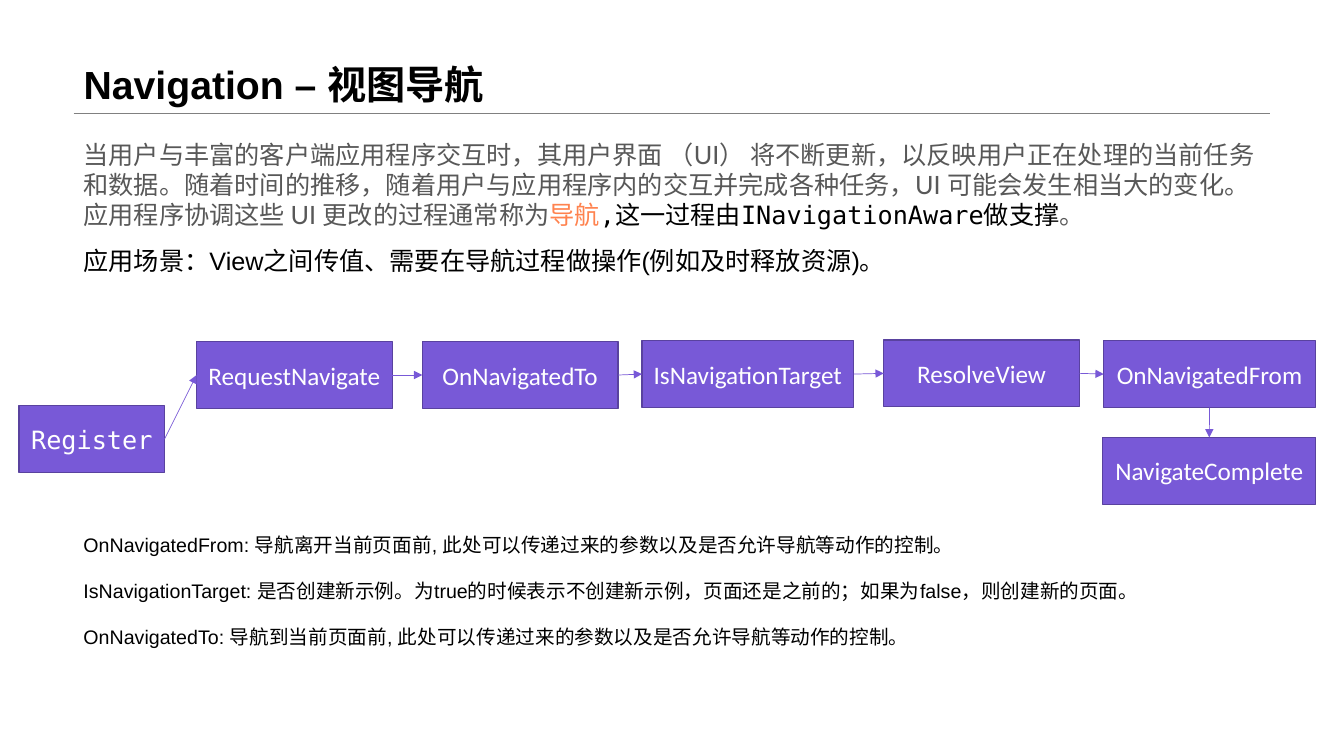
"""Build the view navigation slide with its navigation flow."""
import pptx
import pptx.util
import pptx.dml.color
import pptx.enum.shapes
import pptx.enum.text
import pptx.oxml.ns
import lxml.etree

Pt = pptx.util.Pt
ANCHOR = pptx.enum.text.MSO_ANCHOR
ALIGN = pptx.enum.text.PP_ALIGN

LEFT, CONTENT_WIDTH, RULE_TOP = 52.56, 854.64, 80.64
BOX_HEIGHT = 47.8
PURPLE, DARK_PURPLE, GREY, BLACK = "7859D7", "59429F", "585858", "000000"

TITLE = "Navigation – 视图导航"
INTRODUCTION = [[
    ("当用户与丰富的客户端应用程序交互时，其用户界面 （UI） 将不断更新，以反映用户正在处理的当前任务和数据。"
     "随着时间的推移，随着用户与应用程序内的交互并完成各种任务，UI 可能会发生相当大的变化。"
     "应用程序协调这些 UI 更改的过程通常称为", "Lato", GREY),
    ("导航", "Lato", "FF834F"),
    (",这一过程由INavigationAware做支撑", "DejaVu Sans Mono", BLACK),
    ("。", "Lato", GREY),
]]
SCENARIO = [[("应用场景：View之间传值、需要在导航过程做操作(例如及时释放资源)。", "Arial", BLACK)]]
NOTES = [[(text, "Arial", BLACK)] for text in (
    "OnNavigatedFrom: 导航离开当前页面前, 此处可以传递过来的参数以及是否允许导航等动作的控制。",
    "IsNavigationTarget: 是否创建新示例。为true的时候表示不创建新示例，页面还是之前的；如果为false，则创建新的页面。",
    "OnNavigatedTo: 导航到当前页面前, 此处可以传递过来的参数以及是否允许导航等动作的控制。",
)]
TEXT_BLOCKS = [
    (INTRODUCTION, 95.76, CONTENT_WIDTH, 72.7, 18, 0),
    (SCENARIO, 171.36, 592.56, 29.1, 18, 0),
    (NOTES, 377.28, 767.52, 92.2, 14, 16),
]
STEPS = [
    ("Register", 13.68, 289.8, 103.8, "DejaVu Sans Mono"),
    ("RequestNavigate", 140.4, 244, 139.8, "Calibri"),
    ("OnNavigatedTo", 301.68, 244, 139.8, "Calibri"),
    ("IsNavigationTarget", 458.64, 243.3, 151.2, "Calibri"),
    ("ResolveView", 631.3, 242.8, 139.8, "Calibri"),
    ("OnNavigatedFrom", 788.4, 243.3, 151.2, "Calibri"),
    ("NavigateComplete", 787.7, 312.5, 152.2, "Calibri"),
]


def color(value):
    return pptx.dml.color.RGBColor.from_string(value)


def apply(target, values):
    for name, value in values.items():
        setattr(target, name, value)


def add_run(paragraph, text, font, hex_color, size, bold=False):
    run = paragraph.add_run()
    run.text = text
    apply(run.font, {"name": font, "size": Pt(size), "bold": bold})
    run.font.color.rgb = color(hex_color)


def add_title(slide):
    title = slide.shapes.title
    apply(title, {"left": Pt(LEFT), "top": Pt(0),
                  "width": Pt(CONTENT_WIDTH), "height": Pt(RULE_TOP)})
    apply(title.text_frame, {"vertical_anchor": ANCHOR.BOTTOM, "word_wrap": True,
                             "auto_size": pptx.enum.text.MSO_AUTO_SIZE.NONE})
    paragraph = title.text_frame.paragraphs[0]
    apply(paragraph, {"alignment": ALIGN.LEFT, "line_spacing": 0.9})
    add_run(paragraph, TITLE, "Arial", BLACK, 28, True)


def add_text(slide, paragraphs, top, width, height, size, gap):
    frame = slide.shapes.add_textbox(Pt(LEFT), Pt(top), Pt(width), Pt(height)).text_frame
    frame.word_wrap = True
    for index, runs in enumerate(paragraphs):
        paragraph = frame.add_paragraph() if index else frame.paragraphs[0]
        paragraph.space_after = Pt(gap)
        for text, font, hex_color in runs:
            add_run(paragraph, text, font, hex_color, size)


def add_step(slide, text, left, top, width, font):
    box = slide.shapes.add_shape(pptx.enum.shapes.MSO_SHAPE.RECTANGLE,
                                 Pt(left), Pt(top), Pt(width), Pt(BOX_HEIGHT))
    box.shadow.inherit = False
    box.fill.solid()
    box.fill.fore_color.rgb = color(PURPLE)
    box.line.color.rgb = color(DARK_PURPLE)
    box.line.width = Pt(1)
    box.text_frame.vertical_anchor = ANCHOR.MIDDLE
    paragraph = box.text_frame.paragraphs[0]
    paragraph.alignment = ALIGN.CENTER
    add_run(paragraph, text, font, "FFFFFF", 18)
    return box


def add_line(slide, points, hex_color, width):
    line = slide.shapes.add_connector(pptx.enum.shapes.MSO_CONNECTOR.STRAIGHT,
                                      *(Pt(value) for value in points))
    line.line.color.rgb = color(hex_color)
    line.line.width = Pt(width)
    lxml.etree.SubElement(line._element.spPr, pptx.oxml.ns.qn("a:effectLst"))
    return line


def add_arrow(slide, source, target):
    below = target.top >= source.top + source.height
    arrow = add_line(slide, (0, 0, 0, 0), PURPLE, 0.5)
    arrow.begin_connect(source, 2 if below else 3)
    arrow.end_connect(target, 0 if below else 1)
    outline = arrow.line._get_or_add_ln()
    lxml.etree.SubElement(outline, pptx.oxml.ns.qn("a:tailEnd"), type="triangle")


def main():
    presentation = pptx.Presentation()
    apply(presentation, {"slide_width": Pt(960), "slide_height": Pt(540)})
    slide = presentation.slides.add_slide(presentation.slide_layouts[5])
    add_line(slide, (LEFT, RULE_TOP, LEFT + CONTENT_WIDTH, RULE_TOP), "808080", 0.25)
    add_title(slide)
    for block in TEXT_BLOCKS:
        add_text(slide, *block)
    boxes = [add_step(slide, *step) for step in STEPS]
    for source, target in zip(boxes, boxes[1:]):
        add_arrow(slide, source, target)
    presentation.save("out.pptx")


if __name__ == "__main__":
    main()
